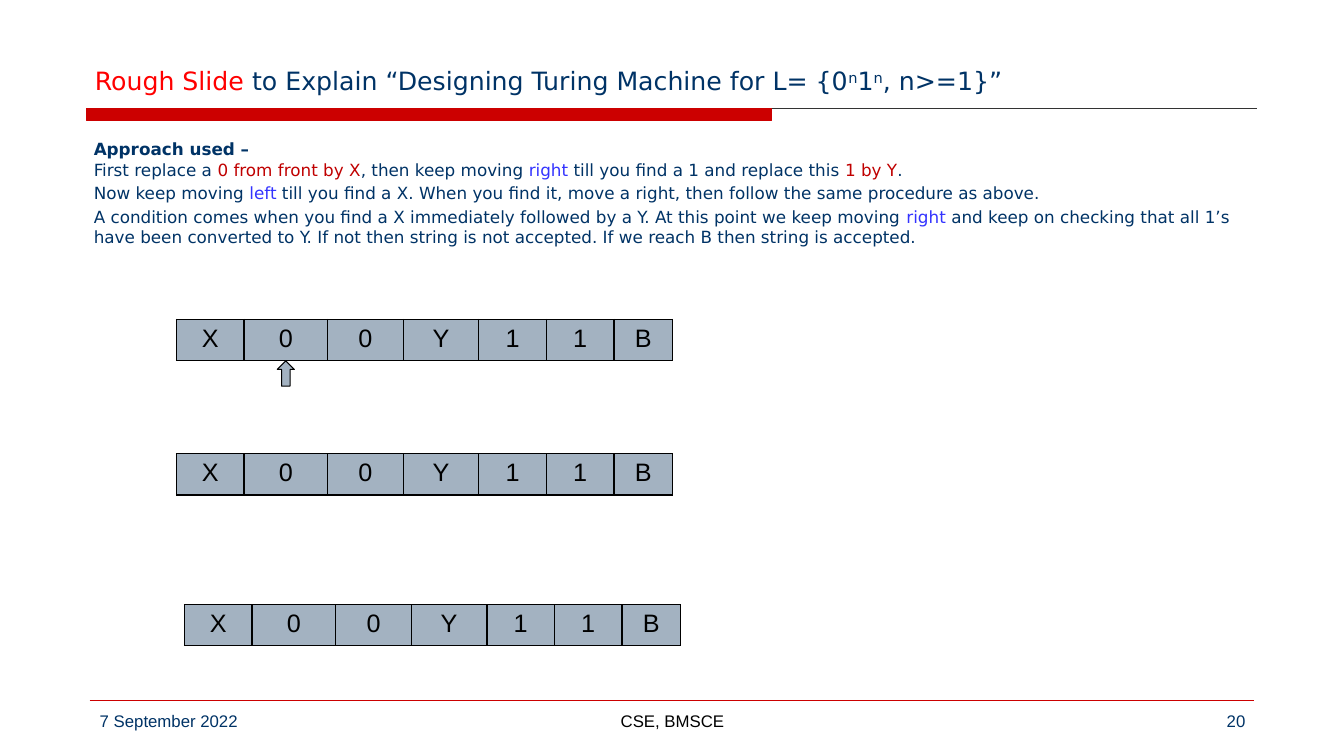
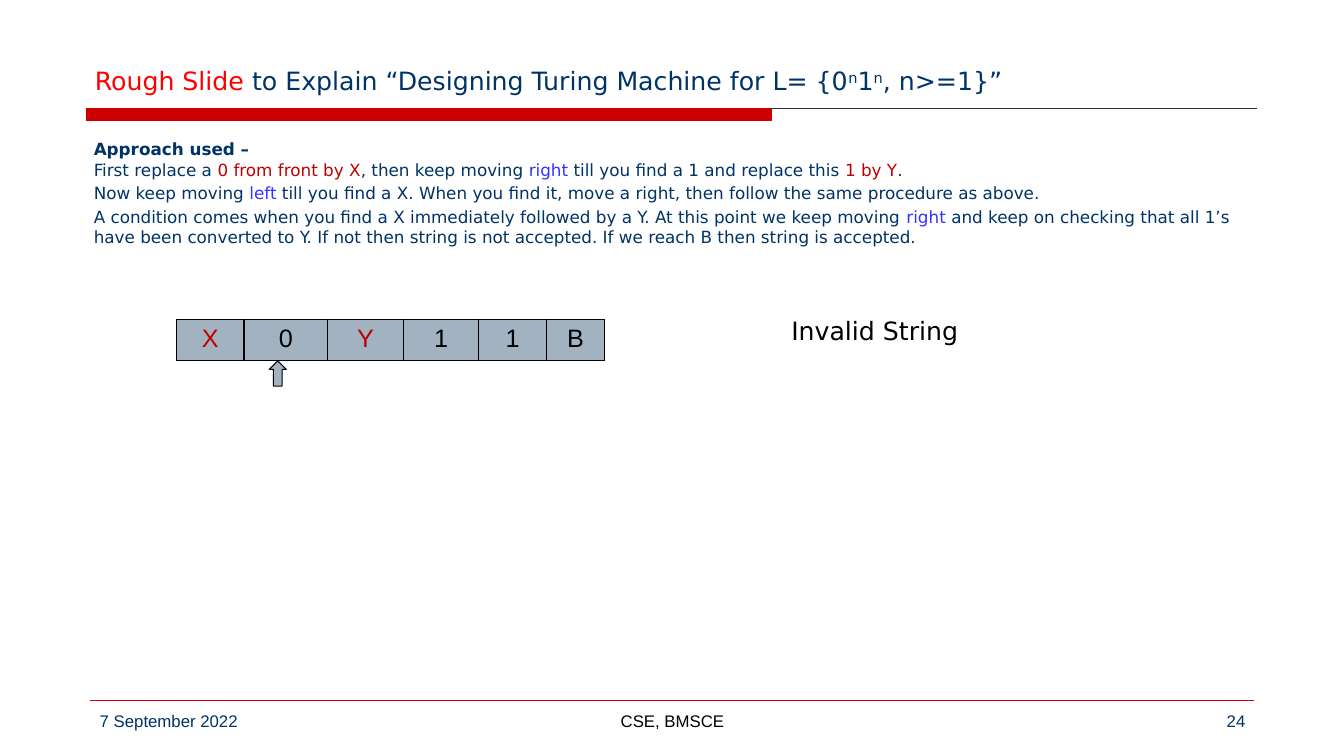
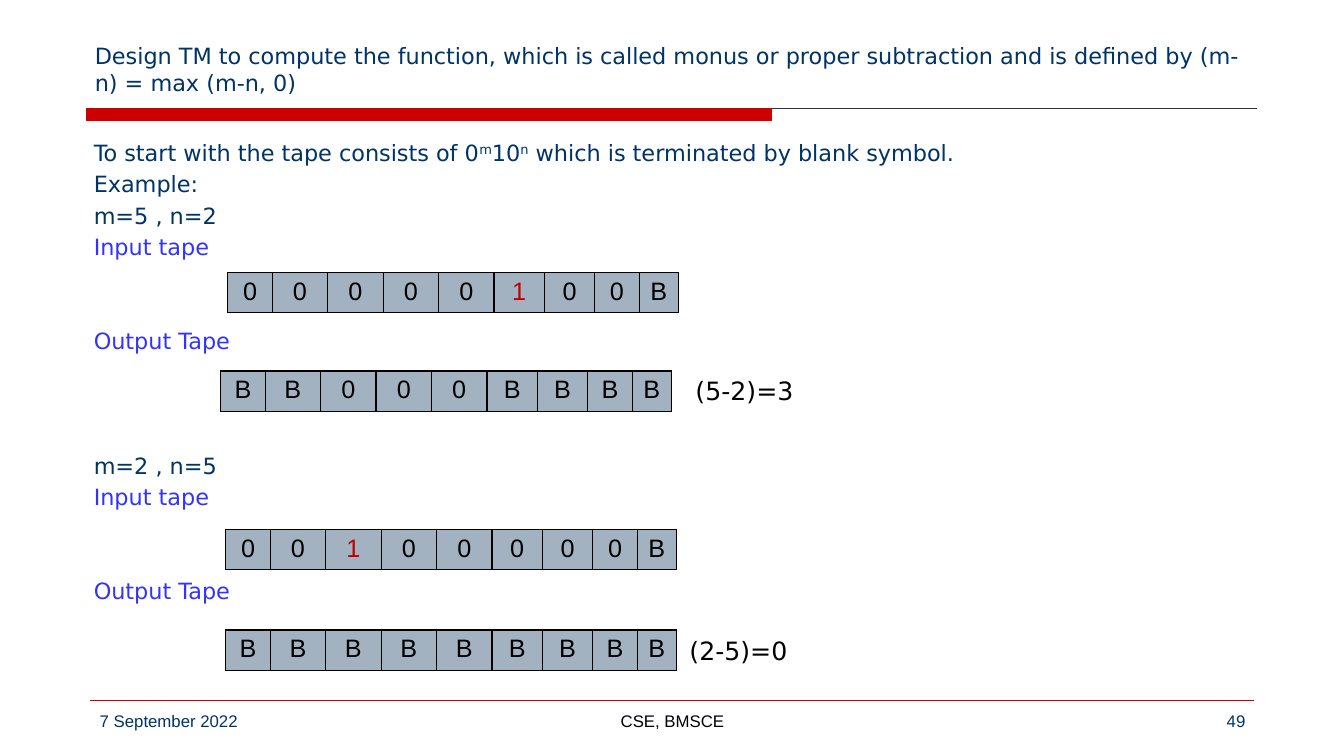
from lxml import etree
from pptx import Presentation
from pptx.dml.color import RGBColor
from pptx.enum import shapes, text
from pptx.oxml import ns
from pptx.util import Inches, Pt

NAVY, RED, BLUE, BLACK = "003366", "C00000", "3333FF", "000000"
BAND, BRIGHT, STEEL, GREY = "CC0000", "FF0000", "A3B2C1", "333333"
SANS, ARIAL = "DejaVu Sans", "Arial"
LEFT, MID, RIGHT, JUST = (text.PP_ALIGN.LEFT, text.PP_ALIGN.CENTER,
                          text.PP_ALIGN.RIGHT, text.PP_ALIGN.JUSTIFY)
UP, BOLD = "up", "bold"


def rgb(code):
    return RGBColor.from_string(code)


def sub(parent, tag, **attrs):
    return etree.SubElement(parent, ns.qn(tag), attrs)


class Deck:
    def __init__(self):
        self.prs = Presentation()
        self.prs.slide_width = Inches(13.33)
        self.prs.slide_height = Inches(7.5)

    def slide(self, number):
        """Start a slide with the shared band, rules and footer."""
        self.page = self.prs.slides.add_slide(self.prs.slide_layouts[1])
        self.rule(7.65, 12.47, 1.08, GREY)
        self.shape(shapes.MSO_SHAPE.RECTANGLE, 0.86, 1.08, 6.79, 0.12, BAND, BAND)
        self.rule(0.89, 12.44, 6.95, BAND)
        self.label("7 September 2022", 0.89, 7, 2.89, 0.35, 12, ARIAL, NAVY)
        self.label("CSE, BMSCE", 4.56, 7, 4.22, 0.35, 12, ARIAL, BLACK, MID)
        self.label(str(number), 9.56, 7, 2.89, 0.35, 12, ARIAL, NAVY, RIGHT)

    def place(self, item, x, y, w, h):
        item.left, item.top, item.width, item.height = map(Inches, (x, y, w, h))

    def style(self, para, size, face, color, align=LEFT):
        para.alignment = align
        para.font.size, para.font.name = Pt(size), face
        para.font.color.rgb = rgb(color)

    def fill(self, para, parts):
        """Add runs: plain strings, or (text, colour / UP / BOLD); None breaks the line."""
        for part in parts:
            if part is None:
                para.add_line_break()
                continue
            words, mark = part if isinstance(part, tuple) else (part, None)
            run = para.add_run()
            run.text = words
            if mark == UP:
                run._r.get_or_add_rPr().set("baseline", "30000")
            elif mark == BOLD:
                run.font.bold = True
            elif mark:
                run.font.color.rgb = rgb(mark)

    def title(self, parts, size):
        item = self.page.shapes.title
        self.place(item, 0.84, 0.17, 11.67, 0.83)
        frame = item.text_frame
        frame.auto_size = text.MSO_AUTO_SIZE.NONE
        frame.vertical_anchor = text.MSO_ANCHOR.BOTTOM
        para = frame.paragraphs[0]
        self.style(para, size, SANS, NAVY)
        self.fill(para, parts)

    def body(self, paras, size, align=LEFT):
        """Fill the body from (space before, parts) pairs."""
        item = self.page.placeholders[1]
        self.place(item, 0.83, 1.33, 11.67, 5.5)
        frame = item.text_frame
        frame.auto_size = text.MSO_AUTO_SIZE.NONE
        for i, (gap, parts) in enumerate(paras):
            para = frame.add_paragraph() if i else frame.paragraphs[0]
            props = para._p.get_or_add_pPr()
            props.set("marL", "0")
            props.set("indent", "0")
            para.space_before = Pt(gap)
            sub(props, "a:buNone")
            self.style(para, size, SANS, NAVY, align)
            self.fill(para, parts)

    def label(self, words, x, y, w, h=0.4, size=18, face=SANS, color=BLACK, align=LEFT):
        box = self.page.shapes.add_textbox(*map(Inches, (x, y, w, h)))
        box.text_frame.word_wrap = True
        para = box.text_frame.paragraphs[0]
        para.text = words
        self.style(para, size, face, color, align)

    def shape(self, kind, x, y, w, h, fill, line):
        item = self.page.shapes.add_shape(kind, *map(Inches, (x, y, w, h)))
        item.shadow.inherit = False
        item.fill.solid()
        item.fill.fore_color.rgb = rgb(fill)
        item.line.color.rgb = rgb(line)
        item.line.width = Pt(0.75)

    def rule(self, start, end, y, color):
        line = self.page.shapes.add_connector(
            shapes.MSO_CONNECTOR.STRAIGHT, *map(Inches, (start, y, end, y)))
        line.line.color.rgb = rgb(color)
        line.line.width = Pt(0.75)
        sub(line._element.spPr, "a:effectLst")

    def head(self, x):
        self.shape(shapes.MSO_SHAPE.UP_ARROW, x, 3.58, 0.17, 0.25, STEEL, BLACK)

    def tape(self, x, y, marks, cols, high=0.39, reds=""):
        """Draw a one-row tape; symbols listed in reds are coloured."""
        item = self.page.shapes.add_table(
            1, len(marks), *map(Inches, (x, y, sum(cols), high)))
        table = item.table
        table.first_row = table.horz_banding = False
        for i, (mark, width) in enumerate(zip(marks, cols)):
            table.columns[i].width = Inches(width)
            cell = table.cell(0, i)
            cell.fill.solid()
            cell.fill.fore_color.rgb = rgb(STEEL)
            para = cell.text_frame.paragraphs[0]
            para.text = mark
            self.style(para, 18, ARIAL, RED if mark in reds else BLACK, MID)
            self.border(cell)

    def border(self, cell):
        props = cell._tc.get_or_add_tcPr()
        for i, side in enumerate(("a:lnL", "a:lnR", "a:lnT", "a:lnB")):
            line = etree.Element(ns.qn(side), w=str(Pt(1)))
            sub(sub(line, "a:solidFill"), "a:srgbClr", val=BLACK)
            props.insert(i, line)


def rough(deck, number):
    """Start a slide that explains the approach for 0ⁿ1ⁿ."""
    deck.slide(number)
    deck.title([("Rough Slide", BRIGHT),
                " to Explain “Designing Turing Machine for L= {0",
                ("n", UP), "1", ("n", UP), ", n>=1}”"], 18)
    deck.body([
        (0, [("Approach used –", BOLD), None,
             "First replace a ", ("0 from front by X", RED),
             ", then keep moving ", ("right", BLUE),
             " till you find a 1 and replace this ", ("1 by Y", RED), "."]),
        (2.4, ["Now keep moving ", ("left", BLUE),
               " till you find a X. When you find it, move a right, "
               "then follow the same procedure as above."]),
        (2.4, ["A condition comes when you find a X immediately followed by a Y. "
               "At this point we keep moving ", ("right ", BLUE),
               "and keep on checking that all 1’s have been converted to Y. "
               "If not then string is not accepted. "
               "If we reach B then string is accepted."]),
    ], 12)


def main():
    deck = Deck()

    # Tape steps
    rough(deck, 20)
    cols = [0.67, 0.83, 0.75, 0.75, 0.67, 0.67, 0.58]
    for x, y, high in ((1.75, 3.17, 0.41), (1.75, 4.5, 0.41), (1.83, 6, 0.39)):
        deck.tape(x, y, "X00Y11B", cols, high)
    deck.head(2.75)

    # Invalid string
    rough(deck, 24)
    deck.tape(1.75, 3.17, "X0Y11B", cols[:5] + cols[6:], 0.41, "XY")
    deck.head(2.67)
    deck.label("Invalid String", 7.75, 3.08, 2.04)

    # Proper subtraction
    deck.slide(49)
    deck.title(["Design TM to compute the function, which is called monus or proper "
                "subtraction and is defined by (m-n) = max (m-n, 0)"], 16)
    gap, line = 3.2, 22.3
    room = gap + 2 * line
    deck.body([
        (0, ["To start with the tape consists of 0", ("m", UP), "10", ("n", UP),
             " which is terminated by blank symbol."]),
        (gap, ["Example:"]),
        (gap, ["m=5 , n=2"]),
        (gap, [("Input tape", BLUE)]),
        (room, [("Output Tape", BLUE)]),
        (room + line, ["m=2 , n=5"]),
        (gap, [("Input tape", BLUE)]),
        (room, [("Output Tape", BLUE)]),
    ], 16, JUST)
    cols = [0.44] + [0.55] * 4 + [0.5, 0.5, 0.44, 0.39]
    for x, y, marks in ((2.26, 2.7, "00000100B"), (2.19, 3.68, "BB000BBBB"),
                        (2.24, 5.25, "00100000B"), (2.24, 6.25, "BBBBBBBBB")):
        deck.tape(x, y, marks, cols, reds="1")
    deck.label("(5-2)=3", 6.8, 3.67, 1.23)
    deck.label("(2-5)=0", 6.74, 6.25, 1.23)

    deck.prs.save("out.pptx")


if __name__ == "__main__":
    main()
